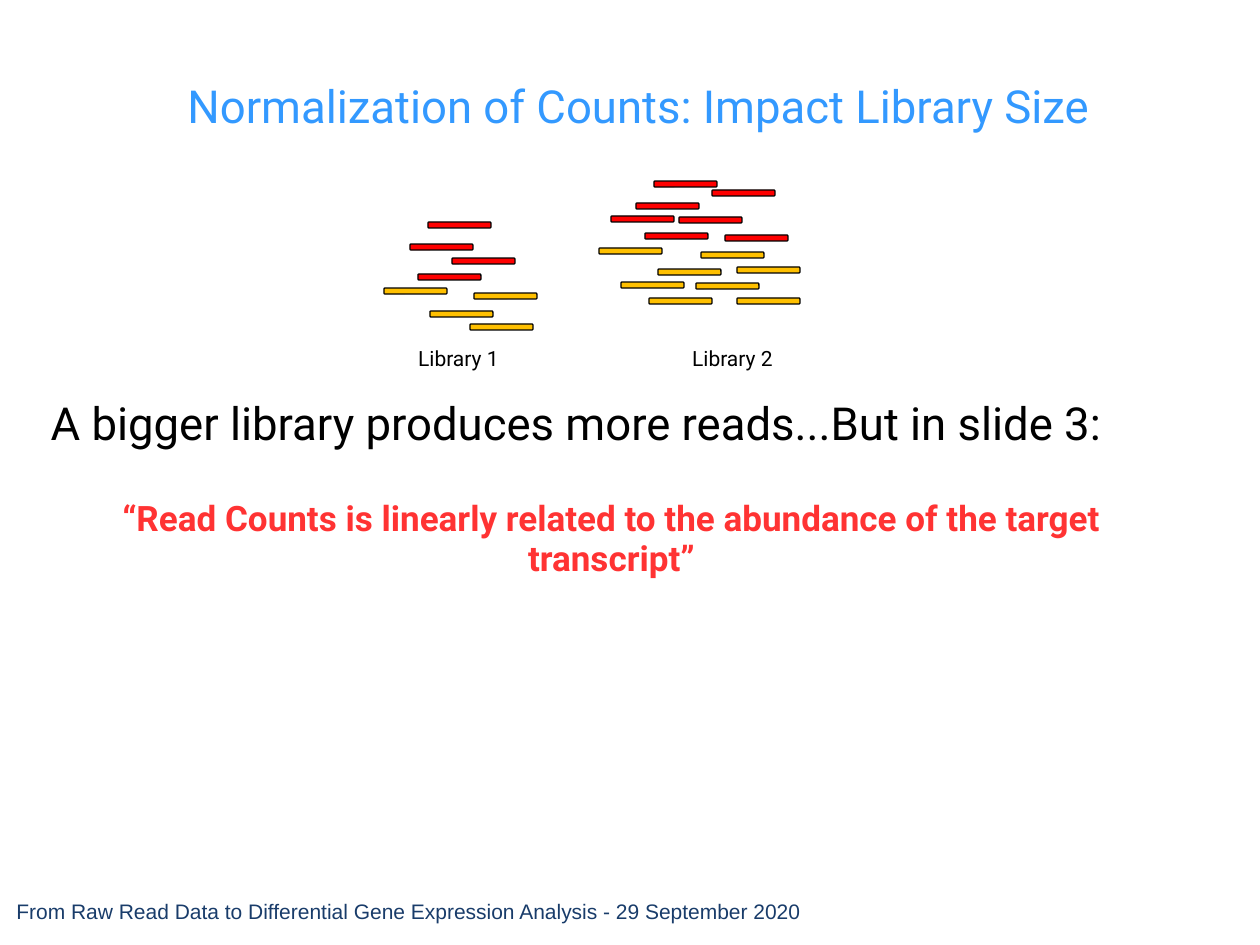
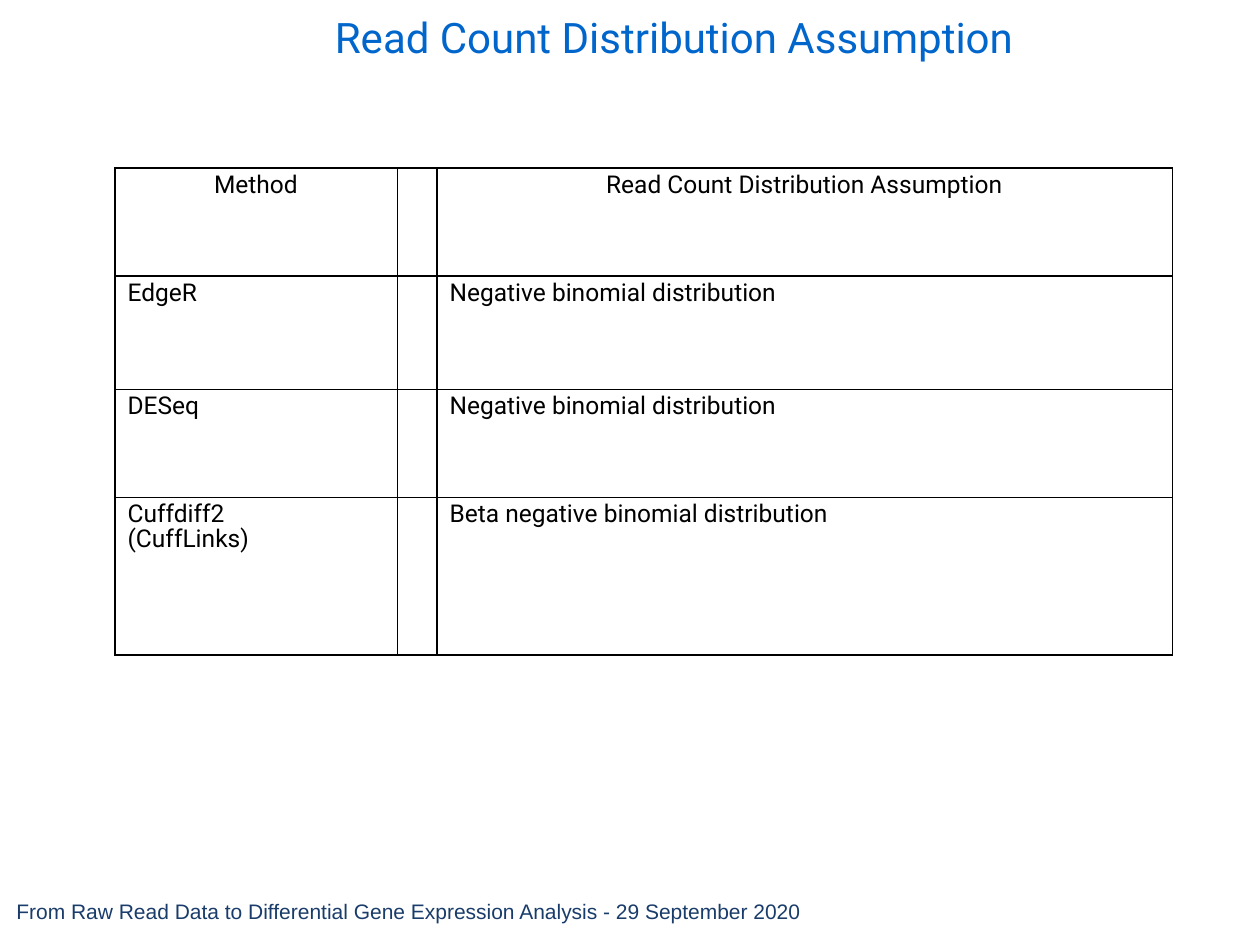
from lxml import etree
from pptx import Presentation, util as u
from pptx.dml.color import RGBColor
from pptx.enum import shapes, text
from pptx.oxml.ns import qn

PX_PER_INCH = 126
HEADING_FONT = "Roboto"
BLACK, RED, GOLD = "000000", "FF0000", "FFC000"
LIGHT_BLUE, BLUE, NAVY, QUOTE_RED = "3399FF", "0066CC", "193C6A", "FF3333"
FOOTER = "From Raw Read Data to Differential Gene Expression Analysis - 29 September 2020"
READ_WIDTH, READ_HEIGHT = 63, 6
THICK, THIN = 1, 0.5

LIBRARIES = [
    ("Library 1", 359, {
        RED: [(428, 222), (410, 244), (452, 258), (418, 274)],
        GOLD: [(384, 288), (474, 293), (430, 311), (470, 324)],
    }),
    ("Library 2", 633, {
        RED: [(654, 181), (712, 190), (636, 203), (611, 216), (679, 217),
              (645, 233), (725, 235)],
        GOLD: [(599, 248), (701, 252), (737, 267), (658, 269), (621, 282),
               (696, 283), (649, 298), (737, 298)],
    }),
]
METHODS = [
    ("Method", "", "Read Count Distribution Assumption"),
    ("EdgeR", "", "Negative binomial distribution"),
    ("DESeq", "", "Negative binomial distribution"),
    ("Cuffdiff2\n(CuffLinks)", "", "Beta negative binomial distribution"),
]
COLUMN_WIDTHS = (282, 40, 735)
ROW_HEIGHTS = (108, 113, 108, 158)


def px(length):
    """Turn whole pixels into EMU."""
    return u.Emu(round(length * 914400 / PX_PER_INCH))


def color(value):
    """Turn a hex string into a colour."""
    return RGBColor.from_string(value)


def place(shape, left, top, width, height):
    """Move and size a shape in pixels."""
    shape.left, shape.top = px(left), px(top)
    shape.width, shape.height = px(width), px(height)


def style(paragraph, size, hex_color, font=HEADING_FONT, bold=False,
          align=text.PP_ALIGN.LEFT, spacing=1.0, before=0):
    """Format a whole paragraph."""
    paragraph.alignment = align
    paragraph.line_spacing = spacing
    paragraph.space_before = u.Pt(before)
    paragraph.font.name = font
    paragraph.font.size = u.Pt(size)
    paragraph.font.bold = bold
    paragraph.font.color.rgb = color(hex_color)


def remove_bullet(paragraph):
    """Drop the bullet and hanging indent of a list paragraph."""
    properties = paragraph._p.get_or_add_pPr()
    properties.set("marL", "0")
    properties.set("indent", "0")
    etree.SubElement(properties, qn("a:buNone"))


def add_label(slide, box, words, size, hex_color, **options):
    """Add a one-line text box."""
    shape = slide.shapes.add_textbox(0, 0, 0, 0)
    place(shape, *box)
    shape.text_frame.word_wrap = True
    paragraph = shape.text_frame.paragraphs[0]
    paragraph.text = words
    style(paragraph, size, hex_color, **options)


def add_slide(presentation, layout_index, title, box, size, hex_color, spacing, anchor):
    """Add a slide with its title and the shared footer."""
    slide = presentation.slides.add_slide(presentation.slide_layouts[layout_index])
    shape = slide.shapes.title
    place(shape, *box)
    frame = shape.text_frame
    frame.text = title
    frame.auto_size = text.MSO_AUTO_SIZE.NONE
    frame.vertical_anchor = anchor
    style(frame.paragraphs[0], size, hex_color,
          align=text.PP_ALIGN.CENTER, spacing=spacing)
    add_label(slide, (4, 892, 900, 63), FOOTER, 12, NAVY, font="Arial")
    return slide


def add_read(slide, left, top, hex_color):
    """Add one sequencing read as a thin rounded bar."""
    bar = slide.shapes.add_shape(shapes.MSO_SHAPE.ROUNDED_RECTANGLE, 0, 0, 0, 0)
    place(bar, left, top, READ_WIDTH, READ_HEIGHT)
    bar.shadow.inherit = False
    bar.fill.solid()
    bar.fill.fore_color.rgb = color(hex_color)
    bar.line.color.rgb = color(BLACK)
    bar.line.width = u.Pt(0.75)


def add_library(slide, name, label_left, reads):
    """Add the reads of a library and its name."""
    for hex_color, positions in reads.items():
        for left, top in positions:
            add_read(slide, left, top, hex_color)
    add_label(slide, (label_left, 339, 199, 38), name, 12, BLACK,
              align=text.PP_ALIGN.CENTER)


def fill_body(slide):
    """Write the statement and the quotation in the body placeholder."""
    body = slide.placeholders[1]
    place(body, 38, 391, 1147, 414)
    frame = body.text_frame
    frame.auto_size = text.MSO_AUTO_SIZE.NONE
    frame.margin_top = px(8)
    frame.text = ("A bigger library produces more reads...But in slide 3:\n"
                  "“Read Counts is linearly related to the abundance of the target transcript”")
    statement, quotation = frame.paragraphs
    for paragraph in frame.paragraphs:
        remove_bullet(paragraph)
    style(statement, 26, BLACK, spacing=0.94)
    style(quotation, 20, QUOTE_RED, bold=True, align=text.PP_ALIGN.CENTER,
          spacing=0.94, before=28.6)


def set_borders(cell, **widths):
    """Draw the cell borders, given by side L, R, T or B in points."""
    properties = cell._tc.get_or_add_tcPr()
    for side, width in widths.items():
        line = etree.SubElement(properties, qn(f"a:ln{side}"), w=str(u.Pt(width)))
        fill = etree.SubElement(line, qn("a:solidFill"))
        etree.SubElement(fill, qn("a:srgbClr"), val=BLACK)


def add_method_table(slide):
    """Add the table of methods and their assumptions."""
    frame = slide.shapes.add_table(len(METHODS), len(COLUMN_WIDTHS), px(115), px(168),
                                   px(sum(COLUMN_WIDTHS)), px(sum(ROW_HEIGHTS)))
    table = frame.table
    table.first_row = table.horz_banding = False
    for column, width in zip(table.columns, COLUMN_WIDTHS):
        column.width = px(width)
    for row, height in zip(table.rows, ROW_HEIGHTS):
        row.height = px(height)
    vertical = (THICK, THIN, THICK, THIN)
    horizontal = (THICK, THICK, THIN, THIN, THICK)
    for i, words in enumerate(METHODS):
        align = text.PP_ALIGN.LEFT if i else text.PP_ALIGN.CENTER
        for j, word in enumerate(words):
            cell = table.cell(i, j)
            set_borders(cell, L=vertical[j], R=vertical[j + 1],
                        T=horizontal[i], B=horizontal[i + 1])
            cell.fill.background()
            cell.text = word
            for paragraph in cell.text_frame.paragraphs:
                style(paragraph, 14, BLACK, align=align, spacing=0.84)


def main():
    """Build both slides and save them."""
    presentation = Presentation()
    presentation.slide_width, presentation.slide_height = px(1260), px(945)

    slide = add_slide(presentation, 1, "Normalization of Counts: Impact Library Size",
                      (72, 76, 1134, 64), 26, LIGHT_BLUE, 0.94, text.MSO_ANCHOR.MIDDLE)
    fill_body(slide)
    for library in LIBRARIES:
        add_library(slide, *library)

    slide = add_slide(presentation, 5, "Read Count Distribution Assumption",
                      (315, 13, 718, 137), 24, BLUE, 0.84, text.MSO_ANCHOR.TOP)
    add_method_table(slide)

    presentation.save("out.pptx")


if __name__ == "__main__":
    main()
